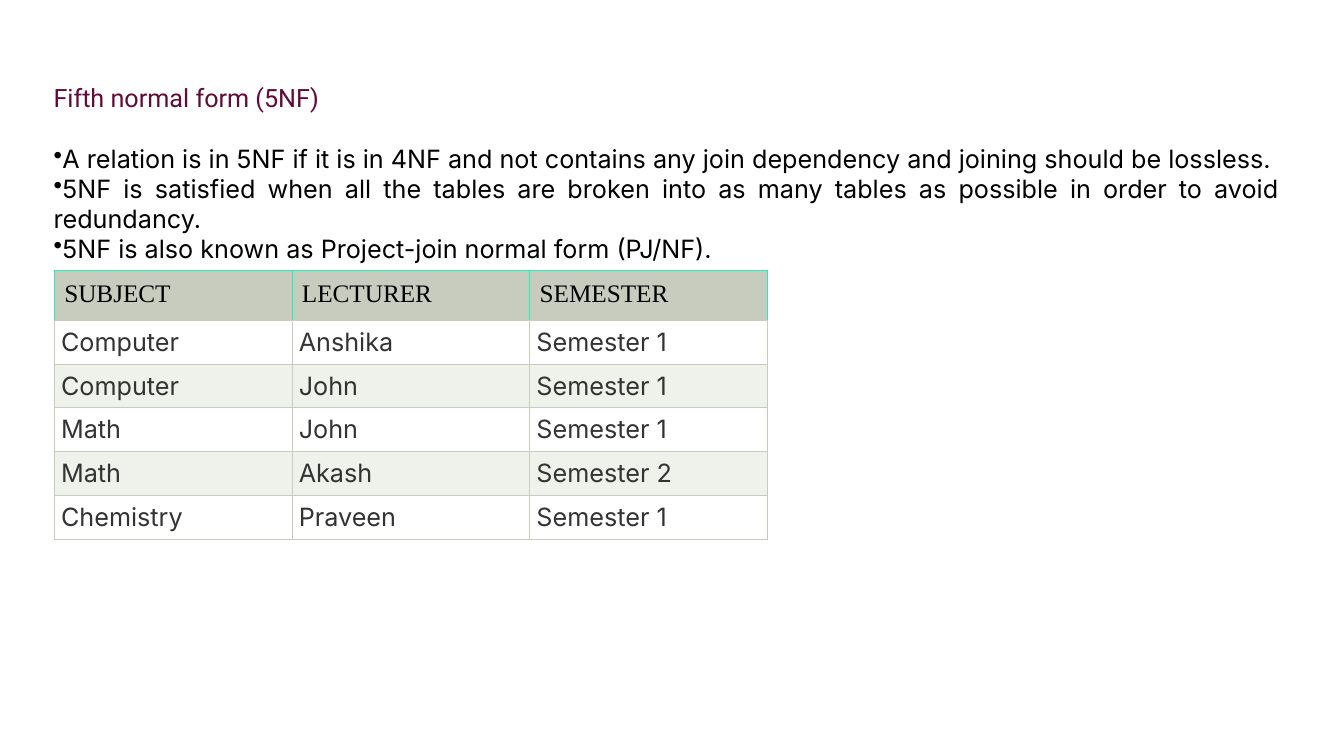
import pptx
import pptx.dml.color
import pptx.enum.text
import pptx.oxml.ns
import pptx.util
import lxml.etree

Cm = pptx.util.Cm
Pt = pptx.util.Pt
JUSTIFY = pptx.enum.text.PP_ALIGN.JUSTIFY

COLORS = {
    "title": "610B38",
    "black": "000000",
    "body": "333333",
    "header": "C7CCBE",
    "accent": "20EFB9",
    "band": "EFF1EB",
    "white": "FFFFFF",
}
BULLETS = [
    "A relation is in 5NF if it is in 4NF and not contains any join dependency and joining should be lossless.",
    "5NF is satisfied when all the tables are broken into as many tables as possible in order to avoid redundancy.",
    "5NF is also known as Project-join normal form (PJ/NF).",
]
ROWS = [
    ("SUBJECT", "LECTURER", "SEMESTER"),
    ("Computer", "Anshika", "Semester 1"),
    ("Computer", "John", "Semester 1"),
    ("Math", "John", "Semester 1"),
    ("Math", "Akash", "Semester 2"),
    ("Chemistry", "Praveen", "Semester 1"),
]


class SlideBuilder:
    """Hold the text style and the current slide, and add elements to it."""

    def __init__(self, slide, size=18):
        self.slide = slide
        self.size = Pt(size)

    def color(self, name):
        return pptx.dml.color.RGBColor.from_string(COLORS[name])

    def style(self, paragraph, font, color, alignment=None):
        paragraph.font.size = self.size
        paragraph.font.name = font
        paragraph.font.color.rgb = self.color(color)
        paragraph.alignment = alignment

    def add_child(self, parent, tag, **attributes):
        return lxml.etree.SubElement(parent, pptx.oxml.ns.qn(tag), attributes)

    def add_text(self, title, bullets, left, top, width, height):
        shape = self.slide.shapes.add_textbox(left, top, width, height)
        frame = shape.text_frame
        frame.word_wrap = True
        heading = frame.paragraphs[0]
        heading.text = title
        heading.space_after = Pt(22)
        self.style(heading, "Roboto", "title", JUSTIFY)
        for bullet in bullets:
            paragraph = frame.add_paragraph()
            paragraph.text = bullet
            self.style(paragraph, "Inter", "black", JUSTIFY)
            properties = paragraph._p.get_or_add_pPr()
            mark = self.add_child(properties, "a:buChar", char="•")
            properties.remove(mark)
            properties.insert(0, mark)

    def add_borders(self, cell, colors):
        properties = cell._tc.get_or_add_tcPr()
        for side, color in zip("LRTB", colors):
            line = self.add_child(properties, f"a:ln{side}", w=str(Pt(0.6)))
            fill = self.add_child(line, "a:solidFill")
            self.add_child(fill, "a:srgbClr", val=COLORS[color])

    def add_cell(self, cell, text, row):
        is_header = row == 0
        cell.text = text
        margin = Cm(0.25 if is_header else 0.17)
        cell.margin_left = cell.margin_right = margin
        cell.margin_top = cell.margin_bottom = margin
        paragraph = cell.text_frame.paragraphs[0]
        if is_header:
            self.style(paragraph, "Times New Roman", "black")
            self.add_borders(cell, ["accent"] * 3 + ["header"])
            background = "header"
        else:
            self.style(paragraph, "Inter", "body", JUSTIFY)
            self.add_borders(cell, ["header"] * 4)
            background = "white" if row % 2 else "band"
        cell.fill.solid()
        cell.fill.fore_color.rgb = self.color(background)

    def add_table(self, rows, left, top, column_width, header_height, row_height):
        columns = len(rows[0])
        height = header_height + row_height * (len(rows) - 1)
        table = self.slide.shapes.add_table(
            len(rows), columns, left, top, column_width * columns, height
        ).table
        table.first_row = table.horz_banding = False
        for column in table.columns:
            column.width = column_width
        for row, texts in enumerate(rows):
            table.rows[row].height = row_height if row else header_height
            for column, text in enumerate(texts):
                self.add_cell(table.cell(row, column), text, row)


def main():
    presentation = pptx.Presentation()
    presentation.slide_width = Cm(33.87)
    presentation.slide_height = Cm(19.05)
    slide = presentation.slides.add_slide(presentation.slide_layouts[6])
    builder = SlideBuilder(slide)
    builder.add_text(
        "Fifth normal form (5NF)", BULLETS, Cm(1.1), Cm(1.94), Cm(31.4), Cm(4.11)
    )
    builder.add_table(ROWS, Cm(1.37), Cm(6.8), Cm(5.99), Cm(1.27), Cm(1.1))
    presentation.save("out.pptx")


if __name__ == "__main__":
    main()
